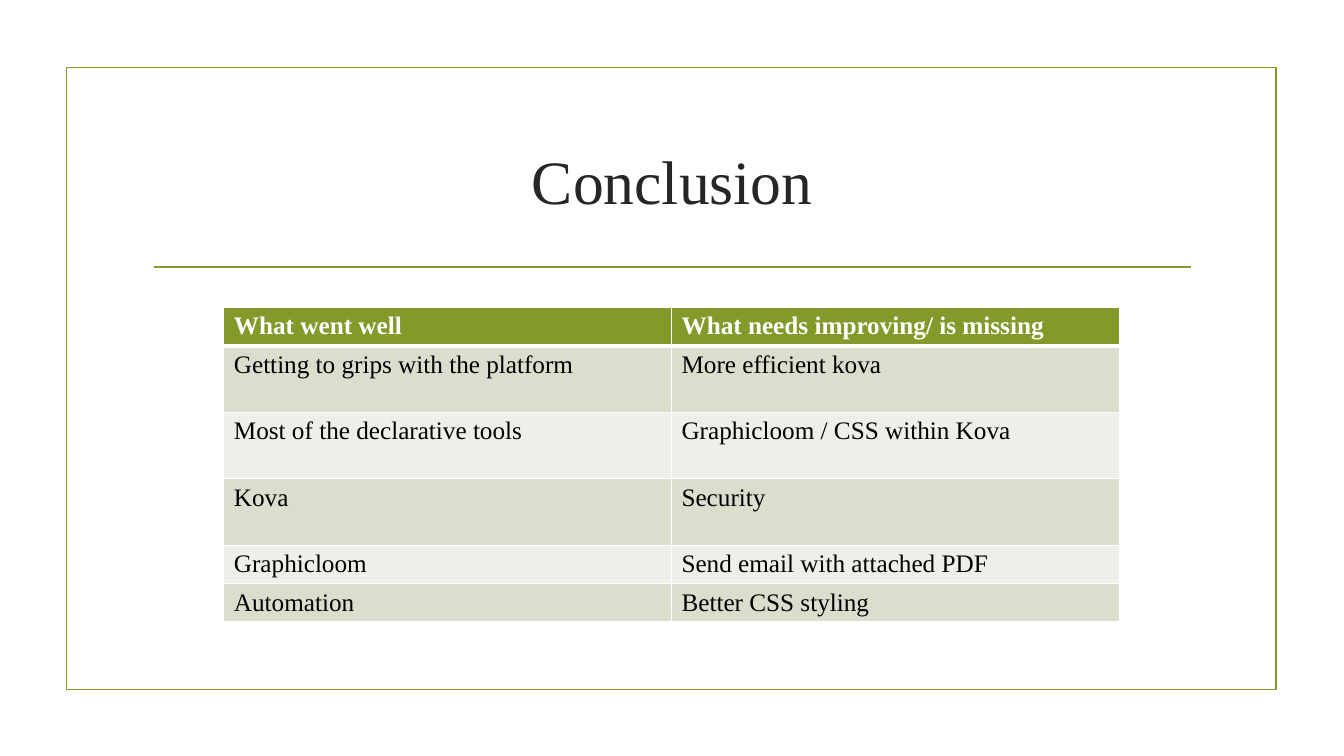
from lxml.etree import SubElement
from pptx import Presentation
from pptx.dml.color import RGBColor
from pptx.enum.shapes import MSO_CONNECTOR, MSO_SHAPE
from pptx.enum.text import MSO_ANCHOR, PP_ALIGN
from pptx.oxml.ns import qn
from pptx.util import Inches, Pt

COLORS = {
    "green": "83992A",
    "title": "262626",
    "black": "000000",
    "white": "FFFFFF",
    "band_dark": "D9DECD",
    "band_light": "EDEFE8",
}
FONT = "Times New Roman"
ROWS = [
    ("What went well", "What needs improving/ is missing"),
    ("Getting to grips with the platform", "More efficient kova"),
    ("Most of the declarative tools", "Graphicloom / CSS within Kova"),
    ("Kova", "Security"),
    ("Graphicloom", "Send email with attached PDF"),
    ("Automation", "Better CSS styling"),
]
ROW_HEIGHTS = [0.38, 0.66, 0.66, 0.66, 0.38, 0.38]


def color(name):
    return RGBColor.from_string(COLORS[name])


def write(frame, text, size=18, ink="black", bold=False, align=PP_ALIGN.LEFT):
    para = frame.paragraphs[0]
    para.alignment = align
    span = para.add_run()
    span.text = text
    span.font.name = FONT
    span.font.size = Pt(size)
    span.font.bold = bold
    span.font.color.rgb = color(ink)


def set_borders(cell, top, bottom):
    properties = cell._tc.get_or_add_tcPr()
    widths = {"a:lnL": 1, "a:lnR": 1, "a:lnT": top, "a:lnB": bottom}
    for tag, width in widths.items():
        line = SubElement(properties, qn(tag), w=str(Pt(width)))
        fill = SubElement(line, qn("a:solidFill"))
        SubElement(fill, qn("a:srgbClr"), val=COLORS["white"])


class Page:
    def __init__(self, deck, line_color="green", line_width=1.25):
        self.slide = deck.slides.add_slide(deck.slide_layouts[6])
        self.shapes = self.slide.shapes
        self.line_color = line_color
        self.line_width = line_width
        background = self.slide.background.fill
        background.solid()
        background.fore_color.rgb = color("white")

    def style_line(self, line):
        line.color.rgb = color(self.line_color)
        line.width = Pt(self.line_width)

    def frame(self, left, top, width, height):
        box = self.shapes.add_shape(
            MSO_SHAPE.RECTANGLE, Inches(left), Inches(top), Inches(width), Inches(height)
        )
        box.shadow.inherit = False
        box.fill.background()
        self.style_line(box.line)

    def rule(self, left, right, top):
        line = self.shapes.add_connector(
            MSO_CONNECTOR.STRAIGHT, Inches(left), Inches(top), Inches(right), Inches(top)
        )
        SubElement(line._element.spPr, qn("a:effectLst"))
        self.style_line(line.line)

    def title(self, text, left, top, width, height):
        box = self.shapes.add_textbox(
            Inches(left), Inches(top), Inches(width), Inches(height)
        )
        box.text_frame.word_wrap = True
        box.text_frame.vertical_anchor = MSO_ANCHOR.MIDDLE
        write(box.text_frame, text, size=44, ink="title", align=PP_ALIGN.CENTER)

    def table(self, rows, heights, left, top, column_width):
        columns = len(rows[0])
        table = self.shapes.add_table(
            len(rows), columns, Inches(left), Inches(top),
            Inches(column_width * columns), Inches(sum(heights)),
        ).table
        for column in table.columns:
            column.width = Inches(column_width)
        for index, (texts, height) in enumerate(zip(rows, heights)):
            header = index == 0
            band = "band_dark" if index % 2 else "band_light"
            table.rows[index].height = Inches(height)
            for cell, text in zip(table.rows[index].cells, texts):
                set_borders(cell, top=3 if index == 1 else 1, bottom=3 if header else 1)
                cell.margin_bottom = Inches(0.03)
                cell.fill.solid()
                cell.fill.fore_color.rgb = color("green" if header else band)
                write(cell.text_frame, text, ink="white" if header else "black", bold=header)


def main():
    deck = Presentation()
    deck.slide_width = Inches(13.33)
    deck.slide_height = Inches(7.5)
    page = Page(deck)
    page.frame(0.66, 0.67, 12, 6.17)
    page.rule(1.53, 11.81, 2.65)
    page.title("Conclusion", 1.42, 1.07, 10.5, 1.43)
    page.table(ROWS, ROW_HEIGHTS, 2.22, 3.05, 4.44)
    deck.save("out.pptx")


if __name__ == "__main__":
    main()
